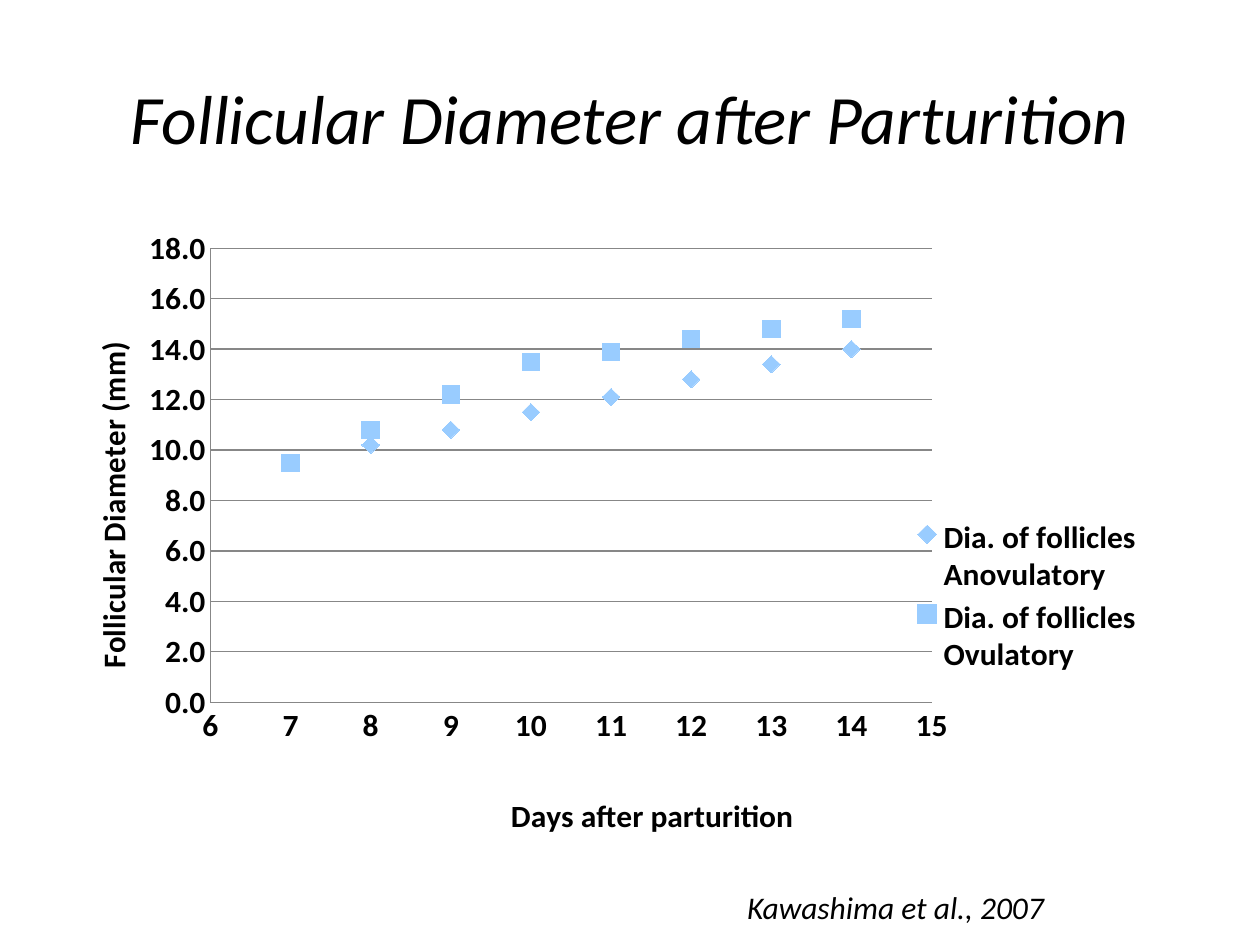
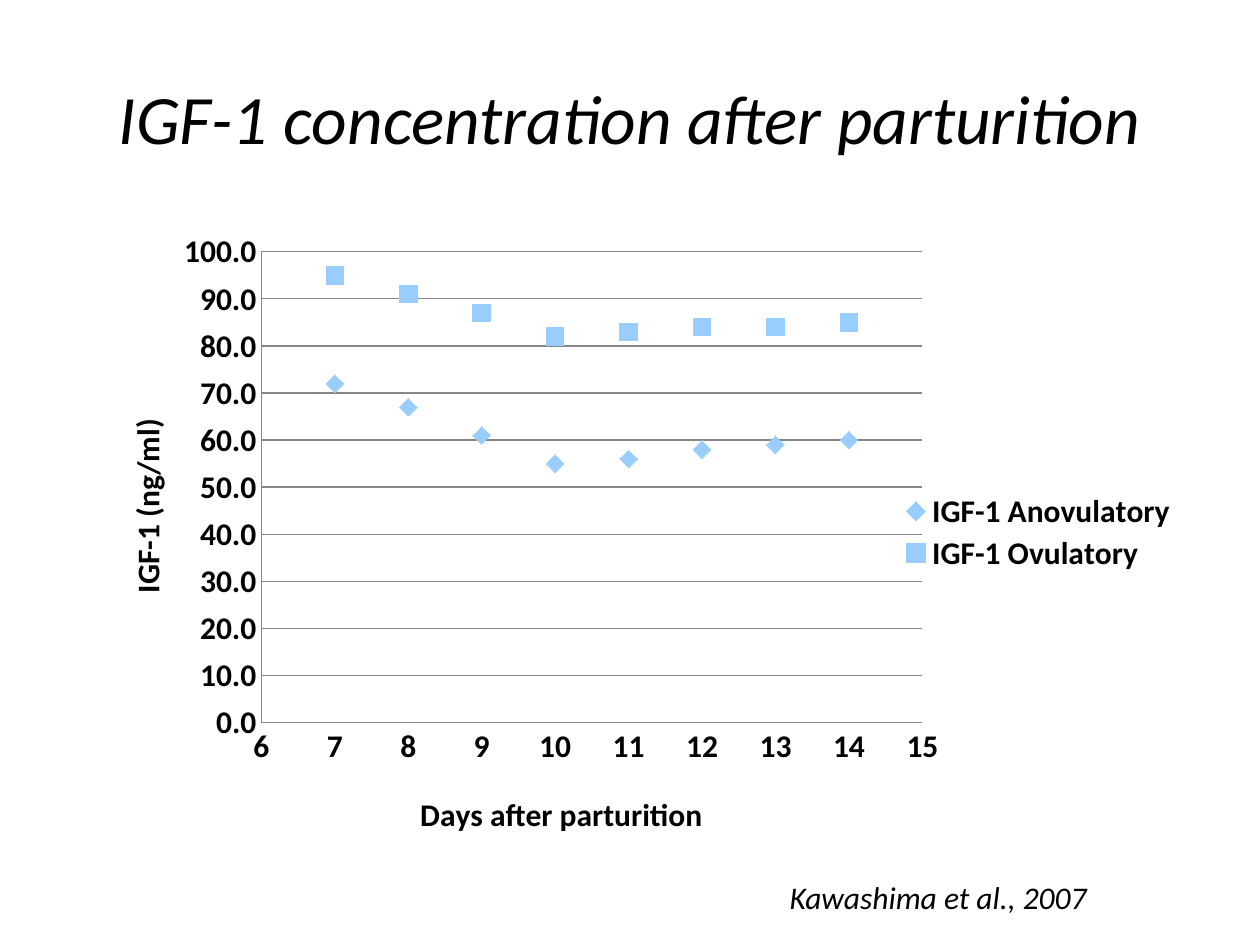
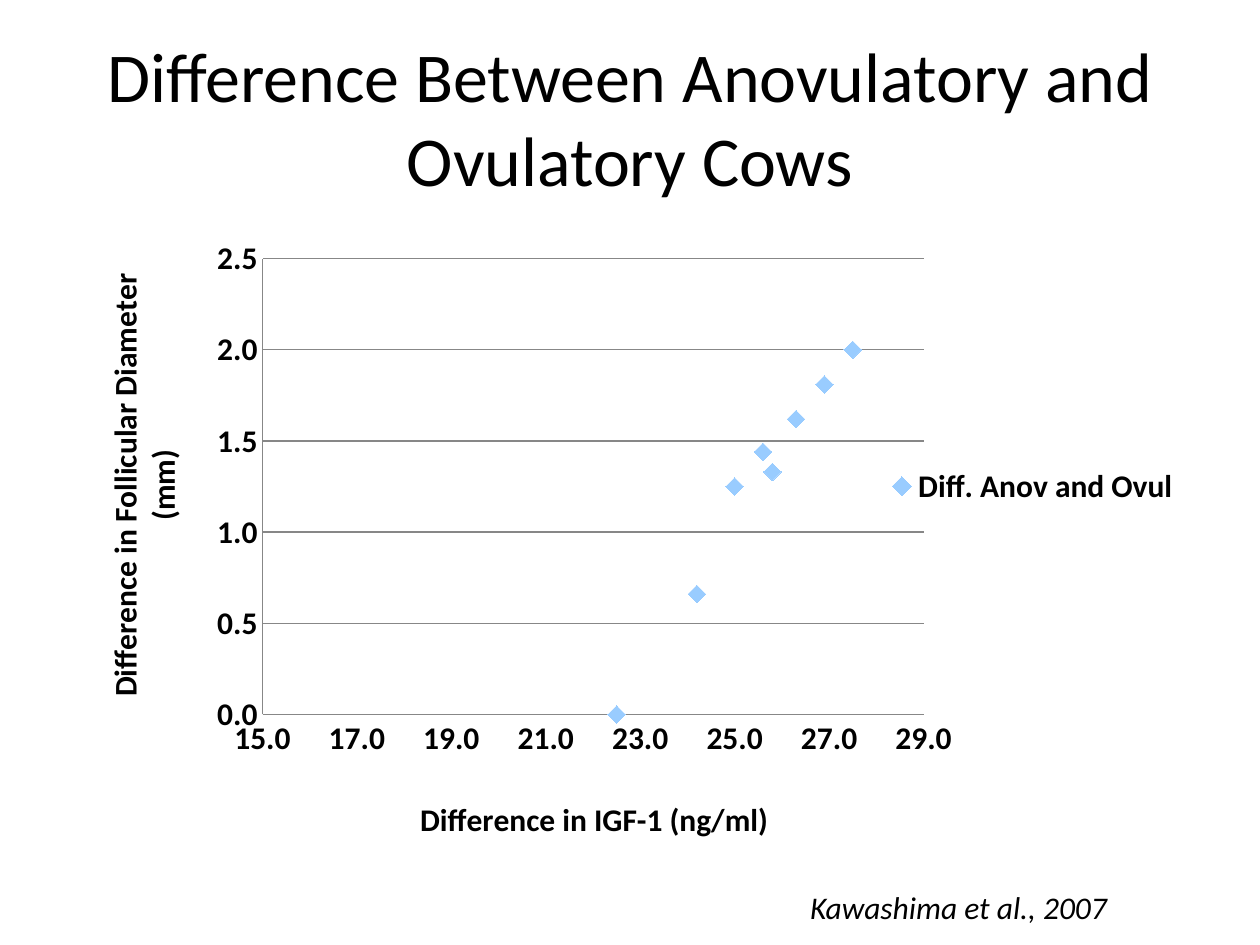
from dataclasses import dataclass

from lxml.etree import SubElement
from pptx import Presentation
from pptx.chart.data import XyChartData
from pptx.dml.color import RGBColor
from pptx.enum.chart import (XL_CHART_TYPE, XL_LEGEND_POSITION,
                             XL_MARKER_STYLE, XL_TICK_MARK)
from pptx.enum.text import MSO_ANCHOR, PP_ALIGN
from pptx.oxml.ns import qn
from pptx.util import Cm, Pt


@dataclass(frozen=True)
class Theme:
    font: str = "Calibri"
    text: RGBColor = RGBColor(0x00, 0x00, 0x00)
    marker: RGBColor = RGBColor(0x99, 0xCC, 0xFF)
    rule: RGBColor = RGBColor(0x87, 0x87, 0x87)
    title_size: float = 40
    italic_title_size: float = 39.6
    body_size: float = 18
    marker_size: int = 10


THEME = Theme()
MARKERS = (XL_MARKER_STYLE.DIAMOND, XL_MARKER_STYLE.SQUARE)
DAYS = range(7, 15)
CITATION = "Kawashima et al., 2007"


@dataclass
class Axis:
    title: str
    low: float
    high: float
    step: float
    number_format: str
    title_at: tuple


def style_font(font, size=THEME.body_size, bold=False, italic=False):
    font.name = THEME.font
    font.size = Pt(size)
    font.bold = bold
    font.italic = italic
    font.color.rgb = THEME.text


def write(tf, text, align=PP_ALIGN.LEFT, **font_format):
    p = tf.paragraphs[0]
    p.alignment = align
    r = p.add_run()
    r.text = text
    style_font(r.font, **font_format)


def place(element, index, inner=False, **fractions):
    """Give a chart part a manual layout in fractions of the chart area."""
    for old in element.findall(qn("c:layout")):
        element.remove(old)
    layout = element.makeelement(qn("c:layout"))
    element.insert(index, layout)
    manual = SubElement(layout, qn("c:manualLayout"))
    if inner:
        SubElement(manual, qn("c:layoutTarget")).set("val", "inner")
    for side in ("x", "y"):
        SubElement(manual, qn(f"c:{side}Mode")).set("val", "edge")
    for name, value in fractions.items():
        SubElement(manual, qn(f"c:{name}")).set("val", str(value))


class Deck:
    def __init__(self, prs, theme):
        self.prs = prs
        self.theme = theme
        self.slide = None

    def new_slide(self):
        self.slide = self.prs.slides.add_slide(self.prs.slide_layouts[6])

    def text(self, text, left, top, width, height, anchor=MSO_ANCHOR.TOP, **fmt):
        sp = self.slide.shapes.add_textbox(Cm(left), Cm(top), Cm(width), Cm(height))
        tf = sp.text_frame
        tf.word_wrap = True
        tf.vertical_anchor = anchor
        write(tf, text, **fmt)

    def title(self, text, italic=True):
        size = self.theme.italic_title_size if italic else self.theme.title_size
        self.text(text, 1.27, 0.76, 22.86, 3.18, anchor=MSO_ANCHOR.MIDDLE,
                  align=PP_ALIGN.CENTER, size=size, italic=italic)

    def citation(self, left, top=17.78):
        self.text(CITATION, left, top, 7.5, 1.02, italic=True)

    def axis(self, axis, spec_axis):
        axis.minimum_scale = spec_axis.low
        axis.maximum_scale = spec_axis.high
        axis.major_unit = spec_axis.step
        axis.major_tick_mark = axis.minor_tick_mark = XL_TICK_MARK.NONE
        axis.format.line.color.rgb = self.theme.rule
        labels = axis.tick_labels
        labels.number_format = spec_axis.number_format
        labels.number_format_is_linked = False
        style_font(labels.font, bold=True)
        write(axis.axis_title.text_frame, spec_axis.title,
              align=PP_ALIGN.CENTER, bold=True)
        x, y = spec_axis.title_at
        place(axis.axis_title._element, 1, x=x, y=y)

    def scatter(self, series, x_axis, y_axis, plot_box, legend_box, top=4.45):
        """Draw a scatter chart; series maps each name to its (xs, ys)."""
        data = XyChartData()
        for name, (xs, ys) in series.items():
            points = data.add_series(name)
            for x, y in zip(xs, ys):
                points.add_data_point(x, y)
        chart = self.slide.shapes.add_chart(
            XL_CHART_TYPE.XY_SCATTER, Cm(1.27), Cm(top), Cm(22.86), Cm(12.57),
            data).chart
        chart.has_title = False
        style_font(chart.font, bold=True)

        plot = chart.plots[0]
        plot.vary_by_categories = False
        for ser, shape in zip(plot.series, MARKERS):
            ser.format.line.fill.background()
            marker = ser.marker
            marker.style = shape
            marker.size = self.theme.marker_size
            marker.format.fill.solid()
            marker.format.fill.fore_color.rgb = self.theme.marker
            marker.format.line.fill.background()

        self.axis(chart.category_axis, x_axis)
        self.axis(chart.value_axis, y_axis)
        chart.category_axis.has_major_gridlines = False
        chart.value_axis.has_major_gridlines = True
        chart.value_axis.major_gridlines.format.line.color.rgb = self.theme.rule

        chart.has_legend = True
        legend = chart.legend
        legend.position = XL_LEGEND_POSITION.RIGHT
        legend.include_in_layout = False
        style_font(legend.font, bold=True)
        place(legend._element, 1, **dict(zip("xywh", legend_box)))
        plot_area = chart._chartSpace.chart.plotArea
        place(plot_area, 0, inner=True, **dict(zip("xywh", plot_box)))


def days_axis(title_at):
    return Axis("Days after parturition", 6, 15, 1, "General", title_at)


def follicle_slide(deck):
    deck.new_slide()
    deck.title("Follicular Diameter after Parturition")
    deck.scatter(
        {"Dia. of follicles Anovulatory":
            (DAYS, (9.5, 10.2, 10.8, 11.5, 12.1, 12.8, 13.4, 14)),
         "Dia. of follicles Ovulatory":
            (DAYS, (9.5, 10.8, 12.2, 13.5, 13.9, 14.4, 14.8, 15.2))},
        days_axis((0.39, 0.93)),
        Axis("Follicular Diameter (mm)", 0, 18, 2, "0.0", (0.02, 0.2)),
        plot_box=(0.13, 0.045, 0.636, 0.744), legend_box=(0.74, 0.48, 0.22, 0.27))
    deck.citation(14.81)


def igf_slide(deck):
    deck.new_slide()
    deck.title("IGF-1 concentration after parturition")
    deck.scatter(
        {"IGF-1 Anovulatory": (DAYS, (72, 67, 61, 55, 56, 58, 59, 60)),
         "IGF-1 Ovulatory": (DAYS, (95, 91, 87, 82, 83, 84, 84, 85))},
        days_axis((0.31, 0.91)),
        Axis("IGF-1 (ng/ml)", 0, 100, 10, "0.0", (0.05, 0.31)),
        plot_box=(0.175, 0.05, 0.583, 0.756), legend_box=(0.73, 0.43, 0.26, 0.14))
    deck.citation(15.67, 17.58)


def difference_slide(deck):
    deck.new_slide()
    deck.title("Difference Between Anovulatory and Ovulatory Cows", italic=False)
    deck.scatter(
        {"Diff. Anov and Ovul":
            ((22.5, 24.2, 25.8, 27.5, 26.9, 26.3, 25.6, 25),
             (0, 0.66, 1.33, 2, 1.81, 1.62, 1.44, 1.25))},
        Axis("Difference in IGF-1 (ng/ml)", 15, 29, 2, "0.0", (0.31, 0.9)),
        Axis("Difference in Follicular Diameter (mm)", 0, 2.5, 0.5, "0.0",
             (0.03, 0.06)),
        plot_box=(0.176, 0.045, 0.583, 0.731), legend_box=(0.72, 0.37, 0.27, 0.08),
        top=4.65)
    deck.citation(16.08)


def main():
    prs = Presentation()
    prs.slide_width, prs.slide_height = Cm(25.4), Cm(19.05)
    deck = Deck(prs, THEME)
    for build in (follicle_slide, igf_slide, difference_slide):
        build(deck)
    prs.save("out.pptx")


if __name__ == "__main__":
    main()
